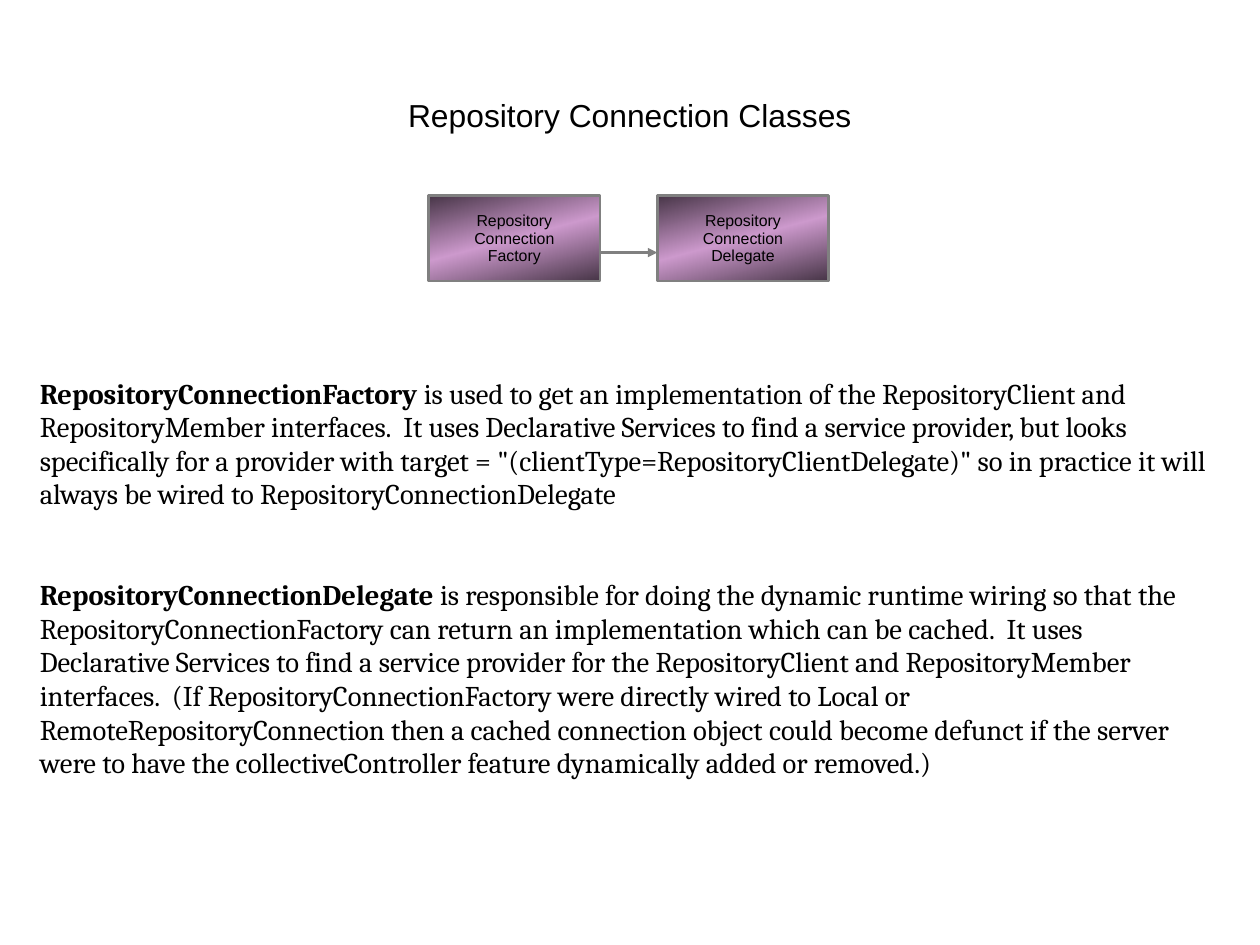
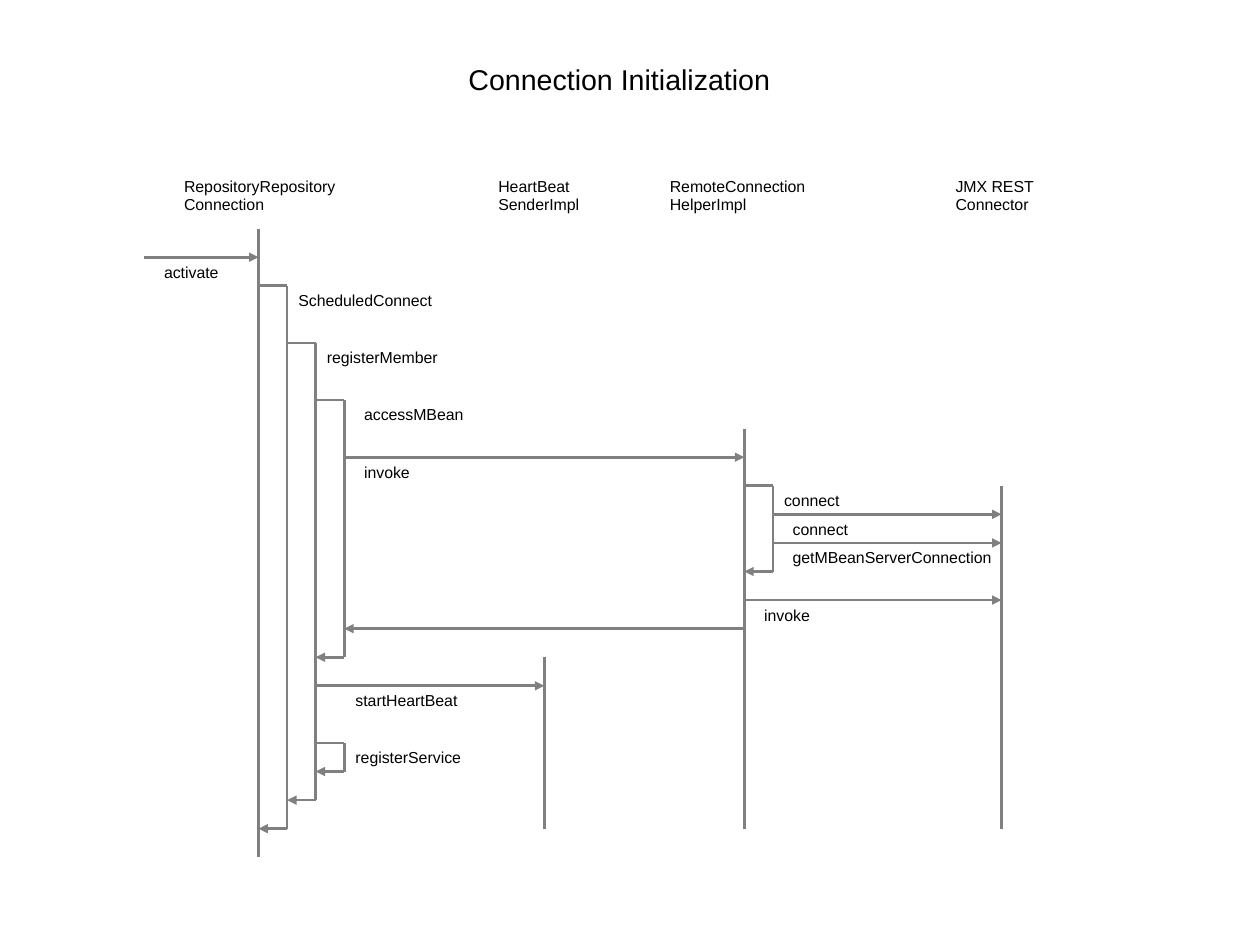
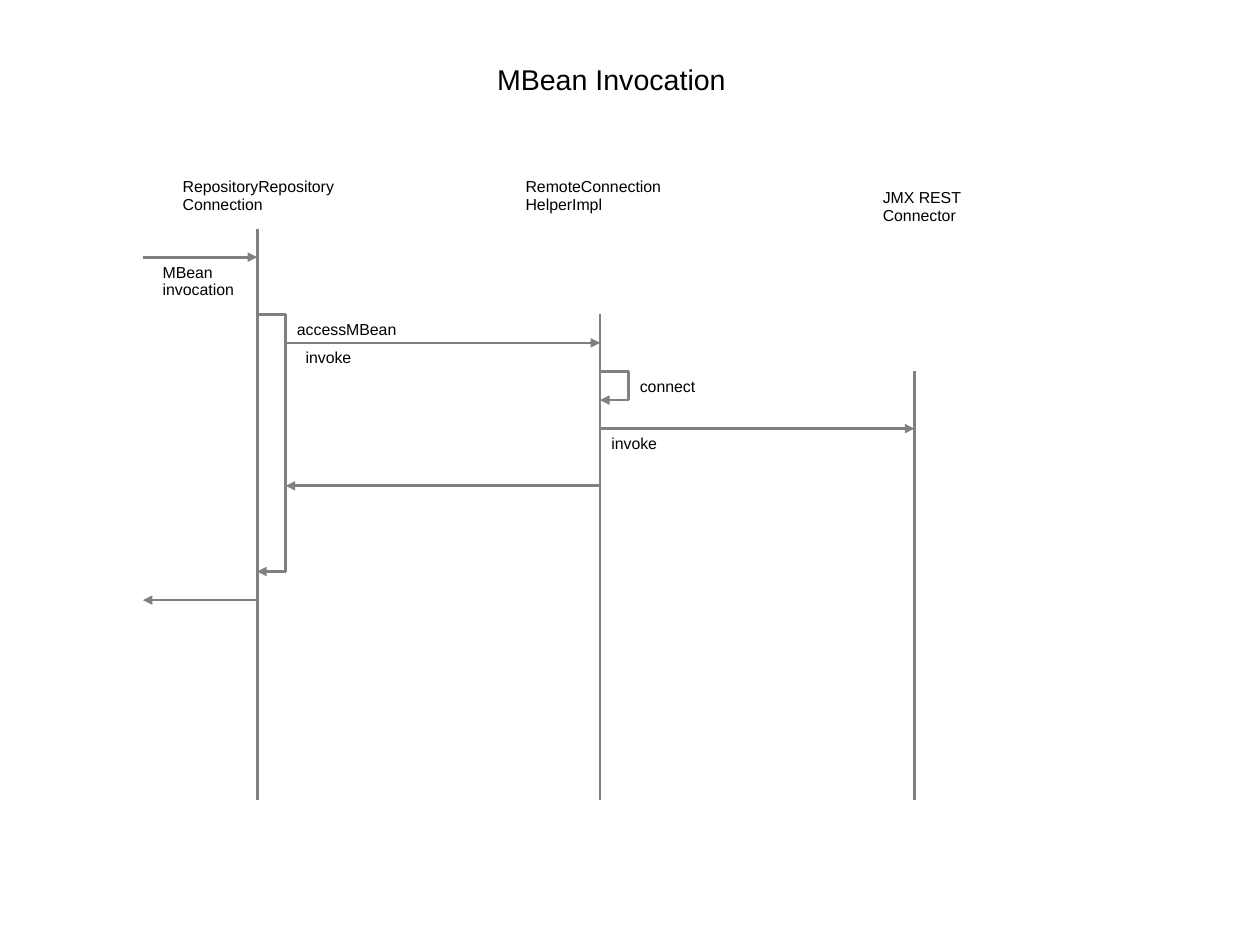
from copy import deepcopy

from pptx import Presentation
from pptx.dml.color import RGBColor
from pptx.enum.shapes import MSO_CONNECTOR, MSO_SHAPE
from pptx.enum.text import MSO_ANCHOR, PP_ALIGN
from pptx.oxml.ns import qn
from pptx.oxml.xmlchemy import OxmlElement
from pptx.util import Cm, Pt

# Shared style
COLORS = {"text": "000000", "line": "808080", "dark": "473547", "light": "CC99CC"}
LINE_WIDTH = Pt(1.7)
STEP = Cm(2.54) / 4  # all diagrams sit on a grid of this step

# Content: class overview (columns and rows in grid steps)
CLASSES_TITLE = "Repository Connection Classes"
CLASSES = ["Repository\nConnection\nFactory", "Repository\nConnection\nDelegate"]
CLASS_LEFT, CLASS_TOP, CLASS_WIDTH, CLASS_HEIGHT, CLASS_PITCH = 15, 6.84, 6, 3, 8
DESCRIPTIONS = [
    ("RepositoryConnectionFactory",
     " is used to get an implementation of the RepositoryClient and RepositoryMember "
     "interfaces.  It uses Declarative Services to find a service provider, but looks "
     "specifically for a provider with target = \"(clientType=RepositoryClientDelegate)\" "
     "so in practice it will always be wired to RepositoryConnectionDelegate"),
    ("RepositoryConnectionDelegate",
     " is responsible for doing the dynamic runtime wiring so that the "
     "RepositoryConnectionFactory can return an implementation which can be cached.  "
     "It uses Declarative Services to find a service provider for the RepositoryClient "
     "and RepositoryMember interfaces.  (If RepositoryConnectionFactory were directly "
     "wired to Local or RemoteRepositoryConnection then a cached connection object could "
     "become defunct if the server were to have the collectiveController feature "
     "dynamically added or removed.)"),
]

# Content: sequence diagrams (columns and rows in grid steps)
# lifelines: column, first row, last row; calls: column, first row, last row
# messages: from column, to column, row; labels: text, column, row
SEQUENCES = [
    {
        "title": ("Connection Initialization", 16, 12),
        "shift": Cm(0.03),
        "lifelines": [(9, 8, 30), (19, 23, 29), (26, 15, 29), (35, 17, 29)],
        "calls": [(9, 10, 29), (10, 12, 28), (11, 14, 23), (11, 26, 27), (26, 17, 20)],
        "messages": [(5, 9, 9), (12, 26, 16), (27, 35, 18), (27, 35, 19),
                     (26, 35, 21), (26, 12, 22), (11, 19, 24)],
        "labels": [
            ("RepositoryRepository\nConnection", 6, 6),
            ("HeartBeat\nSenderImpl", 17, 6),
            ("RemoteConnection\nHelperImpl", 23, 6),
            ("JMX REST\nConnector", 33, 6),
            ("activate", 5.3, 9),
            ("ScheduledConnect", 10, 10),
            ("registerMember", 11, 12),
            ("accessMBean", 12.3, 14),
            ("invoke", 12.3, 16),
            ("connect", 27, 17),
            ("connect", 27.3, 18),
            ("getMBeanServerConnection", 27.3, 19),
            ("invoke", 26.3, 21),
            ("startHeartBeat", 12, 24),
            ("registerService", 12, 26),
        ],
    },
    {
        "title": ("MBean Invocation", 17, 9),
        "shift": Cm(0),
        "lifelines": [(9, 8, 28), (21, 11, 28), (32, 13, 28)],
        "calls": [(9, 11, 20), (21, 13, 14)],
        "messages": [(5, 9, 9), (10, 21, 12), (21, 32, 15), (21, 10, 17), (9, 5, 21)],
        "labels": [
            ("RepositoryRepository\nConnection", 6, 6),
            ("RemoteConnection\nHelperImpl", 18, 6),
            ("JMX REST\nConnector", 30.5, 6.4),
            ("MBean\ninvocation", 5.3, 9),
            ("accessMBean", 10, 11),
            ("invoke", 10.3, 12),
            ("connect", 22, 13),
            ("invoke", 21, 15),
        ],
    },
]


def color(name):
    return RGBColor.from_string(COLORS[name])


def grid(steps):
    return round(steps * STEP)


def style_text(frame, size, font="Arial", align=PP_ALIGN.LEFT, spacing=0.93,
               anchor=MSO_ANCHOR.TOP, inset=Cm(0.15)):
    frame.word_wrap = True
    frame.vertical_anchor = anchor
    frame.margin_left = frame.margin_right = Cm(0.25)
    frame.margin_top, frame.margin_bottom = inset, Cm(0.13)
    for paragraph in frame.paragraphs:
        paragraph.alignment = align
        paragraph.line_spacing = spacing
        paragraph.font.name = font
        paragraph.font.size = Pt(size)
        paragraph.font.color.rgb = color("text")


def add_text(slide, text, left, top, width, height, size, **style):
    frame = slide.shapes.add_textbox(left, top, width, height).text_frame
    frame.text = text
    style_text(frame, size, **style)


def add_line(slide, start, end, arrow=False, shift=0):
    """Draw a line between two (column, row) grid points."""
    line = slide.shapes.add_connector(
        MSO_CONNECTOR.STRAIGHT, grid(start[0]) + shift, grid(start[1]),
        grid(end[0]) + shift, grid(end[1]))
    line.line.color.rgb = color("line")
    line.line.width = LINE_WIDTH
    if arrow:
        tail = OxmlElement("a:tailEnd")
        tail.set("type", "triangle")
        line.line._get_or_add_ln().append(tail)
    line._element.spPr.append(OxmlElement("a:effectLst"))


def fill_gradient(shape):
    """Dark, light, dark at 75 degrees clockwise."""
    shape.fill.gradient()
    shape.fill.gradient_angle = 360 - 75
    stop_list = shape._element.spPr.find(qn("a:gradFill")).find(qn("a:gsLst"))
    stop_list.append(deepcopy(stop_list[0]))
    for stop, position, name in zip(shape.fill.gradient_stops, (0, 0.5, 1),
                                    ("dark", "light", "dark")):
        stop.position = position
        stop.color.rgb = color(name)


def add_class_box(slide, text, column):
    box = slide.shapes.add_shape(MSO_SHAPE.RECTANGLE, grid(column), grid(CLASS_TOP),
                                 grid(CLASS_WIDTH), grid(CLASS_HEIGHT))
    box.shadow.inherit = False
    fill_gradient(box)
    box.line.color.rgb = color("line")
    box.line.width = LINE_WIDTH
    box.text_frame.text = text
    style_text(box.text_frame, 10, align=PP_ALIGN.CENTER, anchor=MSO_ANCHOR.MIDDLE)


def build_classes(slide):
    add_text(slide, CLASSES_TITLE, Cm(1.4), Cm(0.97), Cm(25.2), Cm(3.25), 20,
             align=PP_ALIGN.CENTER, anchor=MSO_ANCHOR.MIDDLE)
    for index, text in enumerate(CLASSES):
        add_class_box(slide, text, CLASS_LEFT + index * CLASS_PITCH)
    arrow_row = CLASS_TOP + 2
    add_line(slide, (CLASS_LEFT + CLASS_WIDTH, arrow_row),
             (CLASS_LEFT + CLASS_PITCH, arrow_row), arrow=True)

    # Descriptions
    frame = slide.shapes.add_textbox(grid(1), grid(13), grid(42), grid(16)).text_frame
    for index, (name, explanation) in enumerate(DESCRIPTIONS):
        paragraph = frame.add_paragraph() if index else frame.paragraphs[0]
        paragraph.space_before = Pt(42.3 if index else 0)
        name_run = paragraph.add_run()
        name_run.text = name
        name_run.font.bold = True
        paragraph.add_run().text = explanation
    style_text(frame, 18, font="Cambria", spacing=0.98, inset=Cm(0.13))


def build_sequence(slide, sequence):
    shift = sequence["shift"]
    title, column, width = sequence["title"]
    add_text(slide, title, grid(column), grid(2), grid(width), grid(1.5), 18,
             inset=Cm(0.18))
    for column, first, last in sequence["lifelines"]:
        add_line(slide, (column, first), (column, last), shift=shift)
    # A call steps out to the right, runs down and returns with an arrow
    for column, first, last in sequence["calls"]:
        corners = [(column, first), (column + 1, first), (column + 1, last), (column, last)]
        for index in range(3):
            add_line(slide, corners[index], corners[index + 1], index == 2, shift)
    for start, end, row in sequence["messages"]:
        add_line(slide, (start, row), (end, row), True, shift)
    for text, column, row in sequence["labels"]:
        add_text(slide, text, grid(column) + shift, grid(row), grid(8),
                 grid(1 + 0.6 * text.count("\n")), 10)


def main():
    presentation = Presentation()
    presentation.slide_width, presentation.slide_height = Cm(28), Cm(21)
    blank = presentation.slide_layouts[6]
    build_classes(presentation.slides.add_slide(blank))
    for sequence in SEQUENCES:
        build_sequence(presentation.slides.add_slide(blank), sequence)
    presentation.save("out.pptx")


if __name__ == "__main__":
    main()
